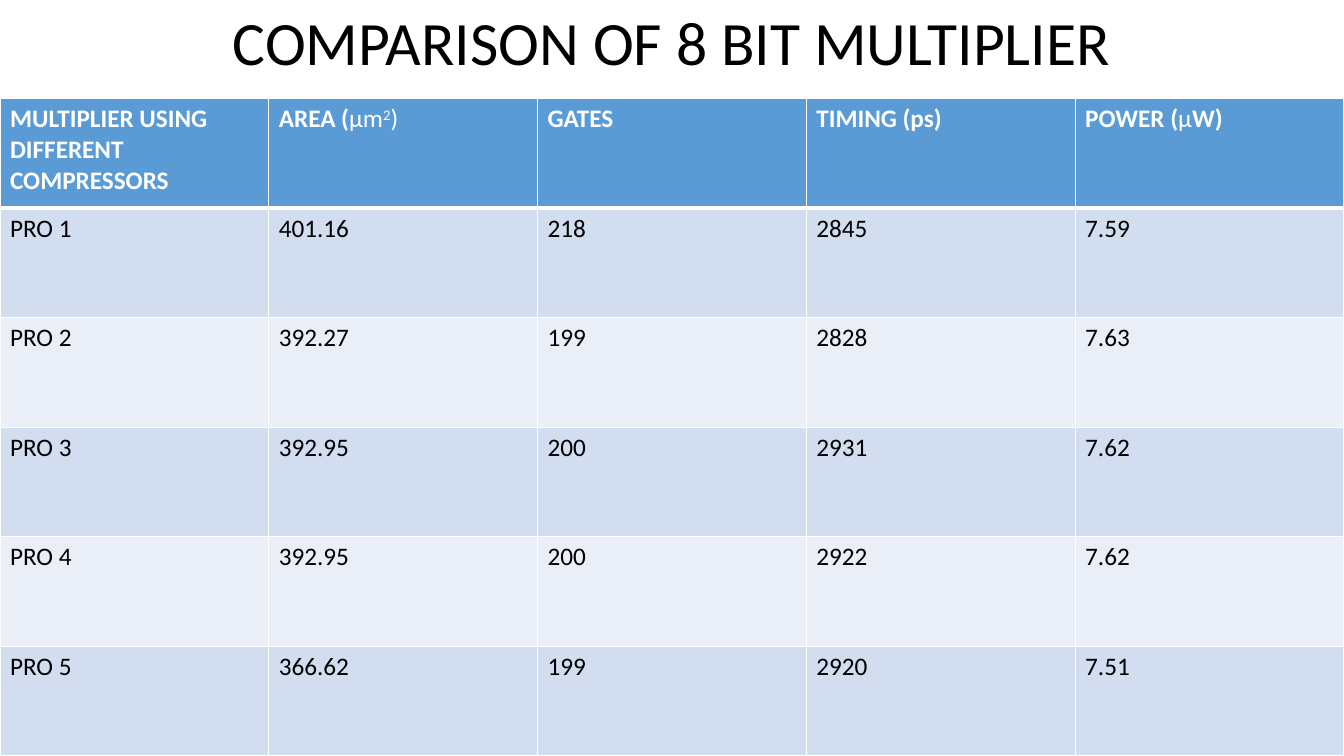
import lxml.etree
import pptx
import pptx.dml.color
import pptx.enum.text
import pptx.oxml.ns
import pptx.util

Inches = pptx.util.Inches
Pt = pptx.util.Pt
qn = pptx.oxml.ns.qn

COLORS = {
    "text": "000000",
    "white": "FFFFFF",
    "header": "5B9BD5",
    "odd": "D2DEEF",
    "even": "EAEFF7",
}

HEADERS = [
    [("MULTIPLIER USING DIFFERENT COMPRESSORS", True, 0)],
    [("AREA (", True, 0), ("μm", False, 0), ("2", False, 30), (")", False, 0)],
    [("GATES", True, 0)],
    [("TIMING (ps)", True, 0)],
    [("POWER (", True, 0), ("μ", False, 0), ("W)", True, 0)],
]

RESULTS = [
    ("PRO 1", "401.16", "218", "2845", "7.59"),
    ("PRO 2", "392.27", "199", "2828", "7.63"),
    ("PRO 3", "392.95", "200", "2931", "7.62"),
    ("PRO 4", "392.95", "200", "2922", "7.62"),
    ("PRO 5", "366.62", "199", "2920", "7.51"),
]


class Deck:
    """Hold the presentation, its style and the current slide."""

    def __init__(self, width, height, font="Calibri"):
        self.prs = pptx.Presentation()
        self.prs.slide_width = Inches(width)
        self.prs.slide_height = Inches(height)
        self.font = font
        self.s = self.prs.slides.add_slide(self.prs.slide_layouts[5])

    def color(self, name):
        return pptx.dml.color.RGBColor.from_string(COLORS[name])

    def style(self, p, size, color):
        p.font.name = self.font
        p.font.size = Pt(size)
        p.font.color.rgb = self.color(color)

    def title(self, text, left, top, width, height):
        sp = self.s.shapes.title
        sp.left, sp.top = Inches(left), Inches(top)
        sp.width, sp.height = Inches(width), Inches(height)
        tf = sp.text_frame
        tf.text = text
        tf.auto_size = pptx.enum.text.MSO_AUTO_SIZE.NONE
        tf.vertical_anchor = pptx.enum.text.MSO_ANCHOR.MIDDLE
        p = tf.paragraphs[0]
        p.alignment = pptx.enum.text.PP_ALIGN.CENTER
        p.line_spacing = 0.9
        self.style(p, 44, "text")

    def borders(self, cell, bottom):
        tcPr = cell._tc.get_or_add_tcPr()
        for side, width in (("L", 1), ("R", 1), ("T", 1), ("B", bottom)):
            ln = lxml.etree.SubElement(tcPr, qn("a:ln" + side), w=str(Pt(width)))
            fill = lxml.etree.SubElement(ln, qn("a:solidFill"))
            lxml.etree.SubElement(fill, qn("a:srgbClr"), val=COLORS["white"])

    def cell(self, cell, runs, fill, color, bottom=1):
        self.borders(cell, bottom)
        cell.fill.solid()
        cell.fill.fore_color.rgb = self.color(fill)
        p = cell.text_frame.paragraphs[0]
        self.style(p, 18, color)
        for text, bold, baseline in runs:
            r = p.add_run()
            r.text = text
            r.font.bold = bold
            if baseline:
                r.font._element.set("baseline", str(baseline * 1000))

    def table(self, headers, rows, left, top, width, height):
        count = len(rows) + 1
        table = self.s.shapes.add_table(
            count, len(headers),
            Inches(left), Inches(top), Inches(width), Inches(height)).table
        for row in table.rows:
            row.height = Inches(height / count)
        for j, runs in enumerate(headers):
            self.cell(table.cell(0, j), runs, "header", "white", 3)
        for i, row in enumerate(rows, 1):
            for j, value in enumerate(row):
                fill = "odd" if i % 2 else "even"
                self.cell(table.cell(i, j), [(value, False, 0)], fill, "text")


def main():
    deck = Deck(13.33, 7.5)
    deck.title("COMPARISON OF 8 BIT MULTIPLIER", 0, -0.07, 13.33, 1.05)
    deck.table(HEADERS, RESULTS, 0, 0.98, 13.33, 6.52)
    deck.prs.save("out.pptx")


if __name__ == "__main__":
    main()
